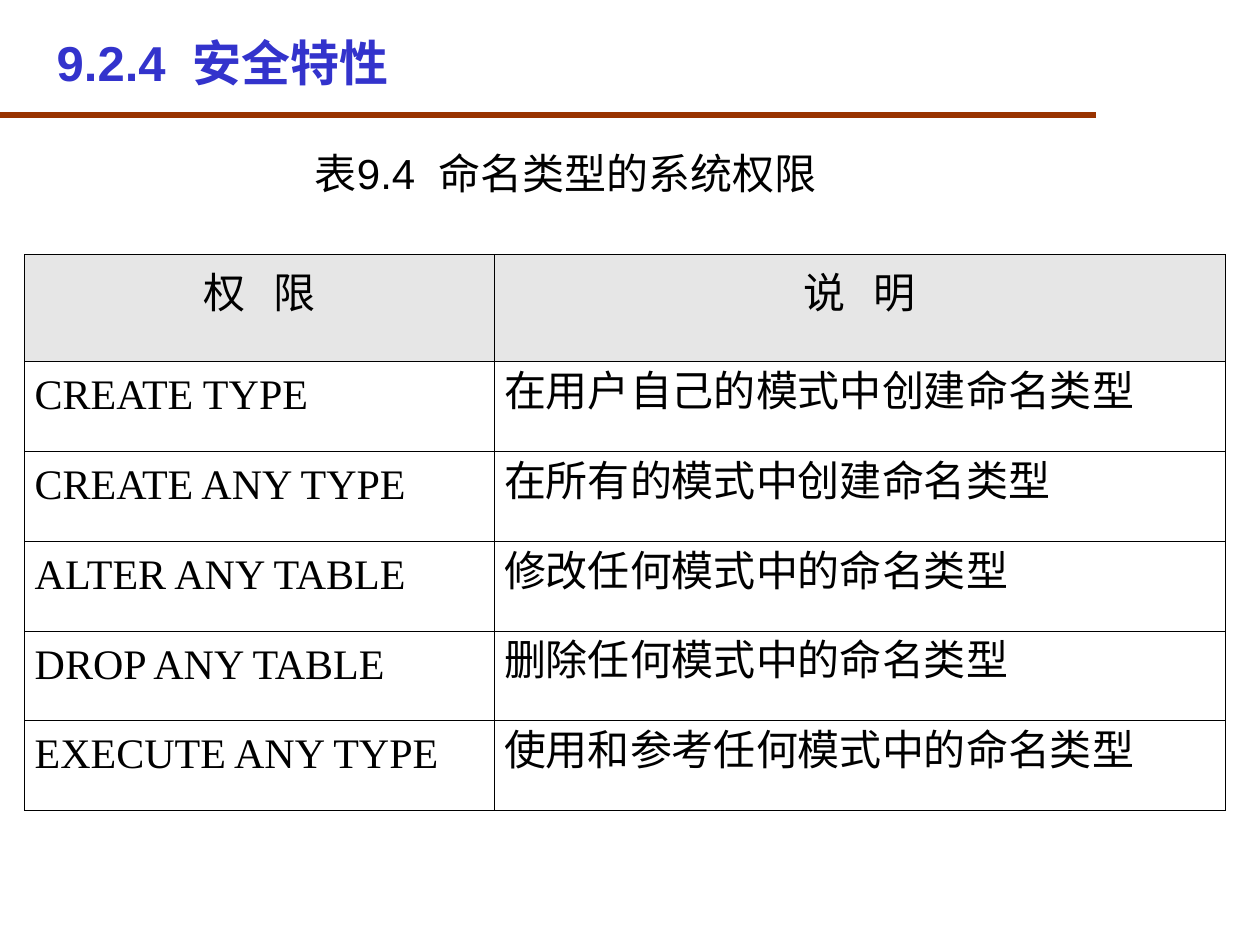
from lxml import etree
from pptx import Presentation
from pptx.dml.color import RGBColor
from pptx.enum.shapes import MSO_CONNECTOR
from pptx.enum.text import MSO_ANCHOR, MSO_AUTO_SIZE, PP_ALIGN
from pptx.oxml.ns import qn
from pptx.util import Cm, Pt

STRAIGHT = MSO_CONNECTOR.STRAIGHT
TOP, MIDDLE = MSO_ANCHOR.TOP, MSO_ANCHOR.MIDDLE
LEFT, CENTER, JUSTIFY = PP_ALIGN.LEFT, PP_ALIGN.CENTER, PP_ALIGN.JUSTIFY
NO_FIT, GROW = MSO_AUTO_SIZE.NONE, MSO_AUTO_SIZE.SHAPE_TO_FIT_TEXT

COLORS = {"title": "3333CC", "rule": "993300", "text": "000000",
          "border": "000000", "header": "E6E6E6"}

ROWS = [
    ("权   限", "说   明"),
    ("CREATE TYPE", "在用户自己的模式中创建命名类型"),
    ("CREATE ANY TYPE", "在所有的模式中创建命名类型"),
    ("ALTER ANY TABLE", "修改任何模式中的命名类型"),
    ("DROP ANY TABLE", "删除任何模式中的命名类型"),
    ("EXECUTE ANY TYPE", "使用和参考任何模式中的命名类型"),
]


def rgb(name):
    return RGBColor.from_string(COLORS[name])


def write(tf, text, size=24, font="Arial", color="text", bold=False,
          align=LEFT, spacing=None):
    p = tf.paragraphs[0]
    p.alignment = align
    if spacing:
        p.line_spacing = Pt(spacing)
    r = p.add_run()
    r.text = text
    r.font.size = Pt(size)
    r.font.name = font
    r.font.bold = bold
    r.font.color.rgb = rgb(color)


def add_title(s, text):
    sp = s.shapes.title
    sp.left, sp.top, sp.width, sp.height = Cm(0.89), Cm(0.53), Cm(14.6), Cm(1.45)
    tf = sp.text_frame
    tf.vertical_anchor = TOP
    tf.auto_size = NO_FIT
    write(tf, text, size=28, color="title", bold=True)


def add_rule(s):
    line = s.shapes.add_connector(STRAIGHT, 0, Cm(2.32), Cm(22.1), Cm(2.32))
    line.line.color.rgb = rgb("rule")
    line.line.width = Pt(3)
    etree.SubElement(line._element.spPr, qn("a:effectLst"))


def add_caption(s, text):
    sp = s.shapes.add_textbox(Cm(6.1), Cm(2.84), Cm(11.02), Cm(1.27))
    tf = sp.text_frame
    tf.word_wrap = False
    tf.auto_size = GROW
    tf.vertical_anchor = MIDDLE
    write(tf, text)


def set_borders(cell):
    tc_pr = cell._tc.get_or_add_tcPr()
    for i, side in enumerate(("lnL", "lnR", "lnT", "lnB")):
        ln = etree.Element(qn(f"a:{side}"), w=str(Pt(0.45)))
        fill = etree.SubElement(ln, qn("a:solidFill"))
        etree.SubElement(fill, qn("a:srgbClr"), val=COLORS["border"])
        tc_pr.insert(i, ln)  # borders come before the cell fill


def add_privilege_table(s):
    widths = (Cm(9.46), Cm(14.74))
    heights = [Cm(2.16)] + [Cm(1.81)] * (len(ROWS) - 1)
    frame = s.shapes.add_table(len(ROWS), len(widths), Cm(0.5), Cm(5.13),
                               sum(widths), sum(heights))
    table = frame.table
    table.first_row = table.horz_banding = False
    for col, width in zip(table.columns, widths):
        col.width = width
    for i, (row, height, texts) in enumerate(zip(table.rows, heights, ROWS)):
        row.height = height
        for cell, text in zip(row.cells, texts):
            cell.vertical_anchor = MIDDLE
            cell.margin_left = cell.margin_right = Cm(0.2)
            cell.margin_top = cell.margin_bottom = Cm(0.13)
            if i == 0:
                cell.fill.solid()
                cell.fill.fore_color.rgb = rgb("header")
            else:
                cell.fill.background()
            set_borders(cell)
            write(cell.text_frame, text, font="Times New Roman", spacing=14,
                  align=CENTER if i == 0 else JUSTIFY)


def main():
    prs = Presentation()
    prs.slide_width, prs.slide_height = Cm(25.4), Cm(19.05)
    s = prs.slides.add_slide(prs.slide_layouts[5])  # title only

    # Heading
    add_rule(s)
    add_title(s, "9.2.4  安全特性")

    # Table with its caption
    add_privilege_table(s)
    add_caption(s, "表9.4  命名类型的系统权限")

    prs.save("out.pptx")


if __name__ == "__main__":
    main()
